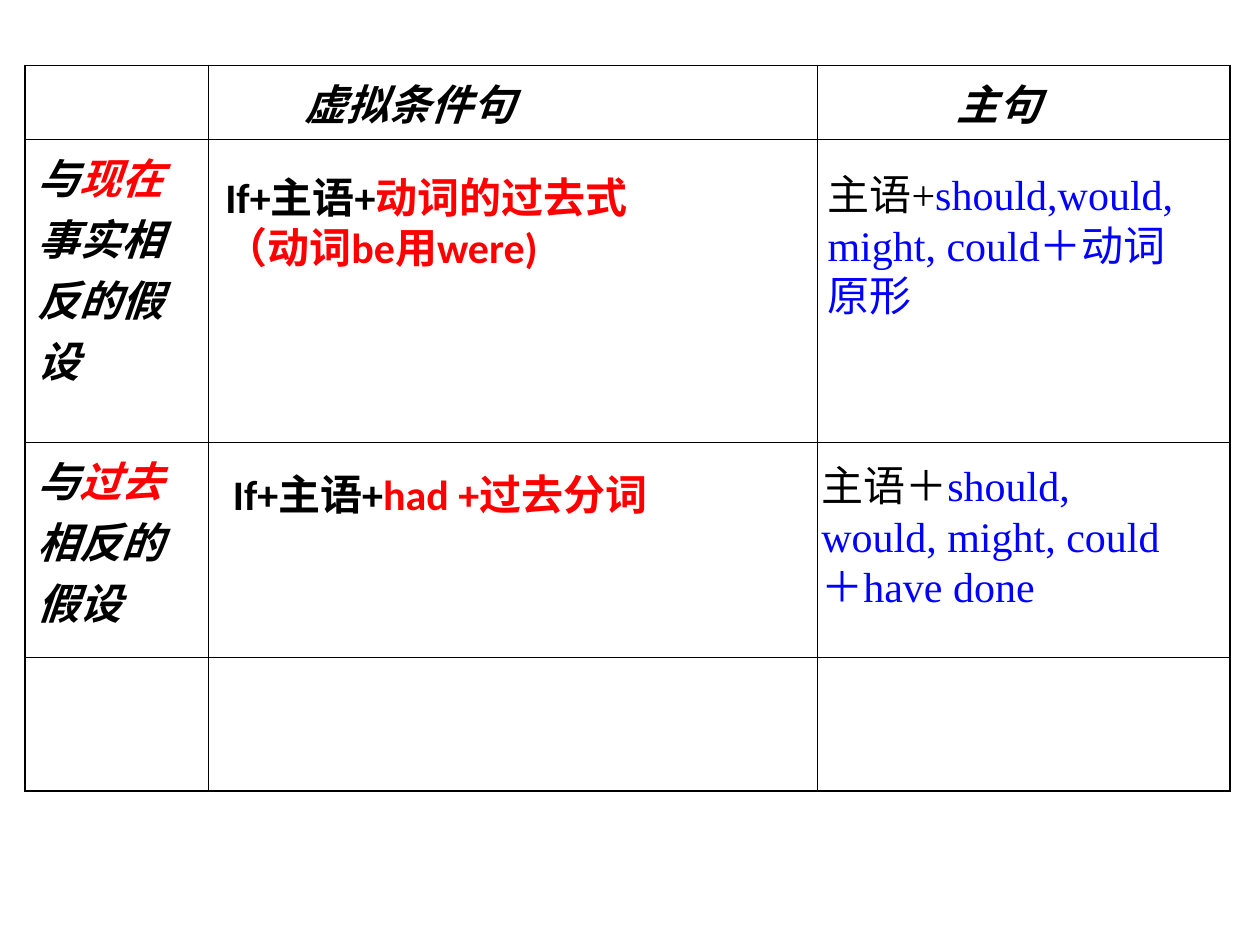
import pptx
import pptx.dml.color
import pptx.enum.text
import pptx.oxml
import pptx.oxml.ns
import pptx.util

Inches = pptx.util.Inches
Pt = pptx.util.Pt
COLORS = {"black": "000000", "red": "FF0000", "blue": "0000FF"}
TABLE_FONT = {"name": "Arial", "size": Pt(24), "bold": True, "italic": True}
CONDITION_FONT = {"name": "Calibri", "size": Pt(24), "bold": True}
MAIN_FONT = {"name": "Times New Roman", "size": Pt(24), "bold": False}


def write_lines(text_frame, lines, font_values, east_asian=None):
    for index, line in enumerate(lines):
        paragraph = text_frame.paragraphs[0] if index == 0 else text_frame.add_paragraph()
        for text, color in line:
            run = paragraph.add_run()
            run.text = text
            for name, value in font_values.items():
                setattr(run.font, name, value)
            run.font.color.rgb = pptx.dml.color.RGBColor.from_string(COLORS[color])
            if east_asian:
                element = pptx.oxml.parse_xml(
                    f'<a:ea {pptx.oxml.ns.nsdecls("a")} typeface="{east_asian}"/>')
                run.font._element.find(pptx.oxml.ns.qn("a:latin")).addnext(element)


def add_borders(cell, widths):
    properties = cell._tc.get_or_add_tcPr()
    for index, (side, width) in enumerate(widths.items()):
        properties.insert(index, pptx.oxml.parse_xml(
            f'<a:ln{side} {pptx.oxml.ns.nsdecls("a")} w="{Pt(width)}"><a:solidFill>'
            f'<a:srgbClr val="{COLORS["black"]}"/></a:solidFill></a:ln{side}>'))


presentation = pptx.Presentation()
presentation.slide_width = Inches(10)
presentation.slide_height = Inches(7.5)
slide = presentation.slides.add_slide(presentation.slide_layouts[6])

column_widths = [1.45, 4.84, 3.27]
row_heights = [0.59, 2.4, 1.71, 1.06]
cell_lines = {
    (0, 1): [[("虚拟条件句", "black")]],
    (0, 2): [[("主句", "black")]],
    (1, 0): [[("与", "black"), ("现在", "red"), ("事实相反的假设", "black")]],
    (2, 0): [[("与", "black"), ("过去", "red"), ("相反的假设", "black")]],
}
header_margins = {(0, 1): 0.77, (0, 2): 1.1}

table = slide.shapes.add_table(
    len(row_heights), len(column_widths), Inches(0.2), Inches(0.52),
    Inches(sum(column_widths)), Inches(sum(row_heights))).table
table.first_row = False
table.horz_banding = False
for column, width in zip(table.columns, column_widths):
    column.width = Inches(width)
for row, height in zip(table.rows, row_heights):
    row.height = Inches(height)

last_row, last_column = len(row_heights) - 1, len(column_widths) - 1
for row_index in range(len(row_heights)):
    for column_index in range(len(column_widths)):
        position = (row_index, column_index)
        cell = table.cell(*position)
        cell.fill.background()
        cell.margin_left = Inches(header_margins.get(position, 0.1))
        write_lines(cell.text_frame, cell_lines.get(position, []), TABLE_FONT)
        outer_sides = {"L": column_index == 0, "R": column_index == last_column,
                       "T": row_index == 0, "B": row_index == last_row}
        add_borders(cell, {side: 1.08 if outer else 0.45 for side, outer in outer_sides.items()})

formulas = [
    ((1.69, 1.31, 3.64, 1.7), CONDITION_FONT,
     [[("If+主语+", "black"), ("动词的过去式", "red")], [("（动词be用were)", "red")]]),
    ((6.47, 1.29, 3.03, 1.7), MAIN_FONT,
     [[("主语+", "black"), ("should,would,", "blue")],
      [("might, could＋动词", "blue")], [("原形", "blue")]]),
    ((1.75, 3.67, 3.74, 1.44), CONDITION_FONT,
     [[("If+主语+", "black"), ("had +过去分词", "red")]]),
    ((6.42, 3.6, 2.92, 1.3), MAIN_FONT,
     [[("主语＋", "black"), ("should,", "blue")],
      [("would, might, could", "blue")], [("＋have done", "blue")]]),
]
for box, font_values, lines in formulas:
    text_frame = slide.shapes.add_textbox(*map(Inches, box)).text_frame
    text_frame.word_wrap = False
    text_frame.auto_size = pptx.enum.text.MSO_AUTO_SIZE.SHAPE_TO_FIT_TEXT
    write_lines(text_frame, lines, font_values, "宋体")

presentation.save("out.pptx")
